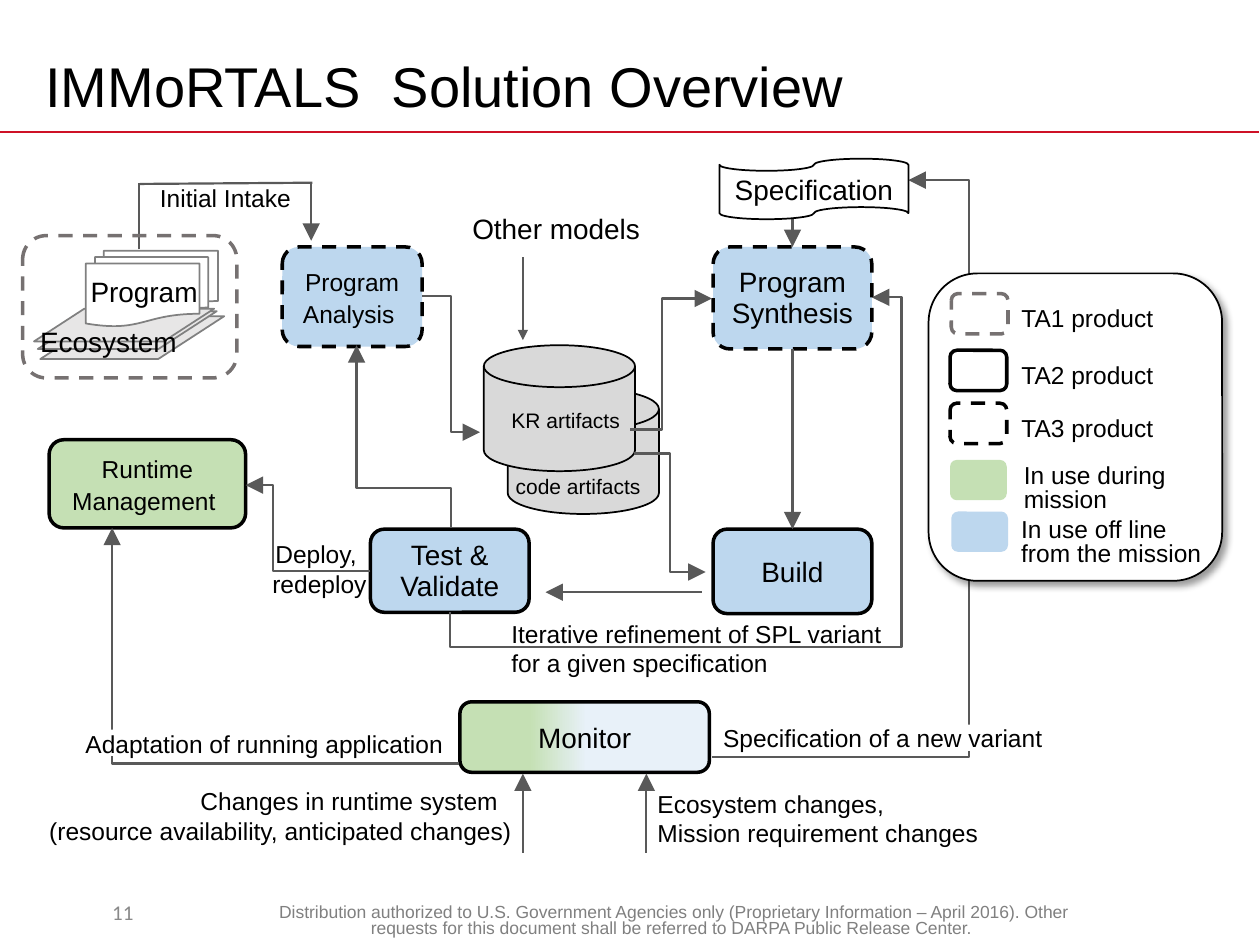
"""Build the IMMoRTALS solution overview slide."""
from lxml import etree
from pptx import Presentation
from pptx import util as u
from pptx.dml.color import RGBColor
from pptx.enum import dml, shapes, text
from pptx.oxml import ns

BLACK = RGBColor(0x00, 0x00, 0x00)
WHITE = RGBColor(0xFF, 0xFF, 0xFF)
RED = RGBColor(0xCE, 0x11, 0x26)
GREEN = RGBColor(0xC5, 0xE0, 0xB4)
BLUE = RGBColor(0xBD, 0xD7, 0xEE)
PALE_BLUE = RGBColor(0xE8, 0xF1, 0xF9)
SILVER = RGBColor(0xD9, 0xD9, 0xD9)
PAPER = RGBColor(0xE7, 0xE6, 0xE6)
GRAY = RGBColor(0x80, 0x80, 0x80)
NUMBER_GRAY = RGBColor(0x89, 0x89, 0x89)
TA1_GRAY = RGBColor(0x76, 0x71, 0x71)
ARROW_GRAY = RGBColor(0x59, 0x59, 0x59)

KIND = shapes.MSO_SHAPE
LEFT, CENTER, RIGHT = text.PP_ALIGN.LEFT, text.PP_ALIGN.CENTER, text.PP_ALIGN.RIGHT
TOP, MIDDLE = text.MSO_ANCHOR.TOP, text.MSO_ANCHOR.MIDDLE


def add_xml(parent, tag, **attributes):
    return etree.SubElement(parent, ns.qn(tag), attributes)


class Diagram:
    """Holds the text style and the slide being drawn."""

    def __init__(self, slide, font="Arial", color=BLACK):
        self.slide, self.font, self.color = slide, font, color

    def set_words(self, frame, words, size, align=LEFT, anchor=TOP, spacing=None,
                  font=None, color=None):
        frame.word_wrap = True
        frame.auto_size = text.MSO_AUTO_SIZE.NONE
        frame.vertical_anchor = anchor
        for index, line in enumerate(words.split("\n")):
            paragraph = frame.add_paragraph() if index else frame.paragraphs[0]
            paragraph.alignment = align
            if spacing:
                paragraph.line_spacing = spacing
            run = paragraph.add_run()
            run.text = line
            run.font.size = u.Pt(size)
            run.font.name = font or self.font
            run.font.color.rgb = color or self.color

    def title(self, at, words, size):
        heading = self.slide.shapes.title
        heading.left, heading.top, heading.width, heading.height = map(u.Inches, at)
        self.set_words(heading.text_frame, words, size, anchor=MIDDLE)

    def label(self, at, words, size=14, **style):
        caption = self.slide.shapes.add_textbox(*map(u.Inches, at))
        self.set_words(caption.text_frame, words, size, **style)

    def shape(self, at, kind=KIND.ROUNDED_RECTANGLE, fill=None, line=None, width=1,
              dashed=False, adjust=None):
        part = self.slide.shapes.add_shape(kind, *map(u.Inches, at))
        part.shadow.inherit = False
        if fill is None:
            part.fill.background()
        else:
            part.fill.solid()
            part.fill.fore_color.rgb = fill
        if line is None:
            part.line.fill.background()
        else:
            part.line.color.rgb = line
            part.line.width = u.Pt(width)
        if dashed:
            part.line.dash_style = dml.MSO_LINE.DASH
        if adjust is not None:
            part.adjustments[0] = adjust
        return part

    def step(self, at, words, size=16, fill=BLUE, dashed=False, spacing=u.Pt(18)):
        box = self.shape(at, fill=fill, line=BLACK, width=2, dashed=dashed)
        self.set_words(box.text_frame, words, size, CENTER, MIDDLE, spacing)
        return box

    def line(self, start, end, color=ARROW_GRAY, width=1.25, arrow=None,
             bends=None, upright=False):
        """Draw a line; bends are elbow ratios, upright leaves the start vertically."""
        if upright:
            mid_x, mid_y = ((a + b) / 2 for a, b in zip(start, end))
            start, end = ((mid_x - y + mid_y, mid_y + x - mid_x) for x, y in (start, end))
        kind = shapes.MSO_CONNECTOR.ELBOW if bends else shapes.MSO_CONNECTOR.STRAIGHT
        link = self.slide.shapes.add_connector(kind, *map(u.Inches, (*start, *end)))
        link.line.color.rgb = color
        link.line.width = u.Pt(width)
        properties = link._element.spPr
        if upright:
            properties.find(ns.qn("a:xfrm")).set("rot", "16200000")
        if bends:
            geometry = properties.find(ns.qn("a:prstGeom"))
            geometry.set("prst", f"bentConnector{len(bends) + 2}")
            guides = geometry.find(ns.qn("a:avLst"))
            for index, ratio in enumerate(bends, 1):
                add_xml(guides, "a:gd", name=f"adj{index}", fmla=f"val {round(ratio * 100000)}")
        if arrow:
            add_xml(properties.find(ns.qn("a:ln")), "a:tailEnd", type="triangle", w=arrow, len=arrow)
        add_xml(properties, "a:effectLst")

    def arrow(self, start, end, *bends, size="lg", upright=False):
        self.line(start, end, arrow=size, bends=bends, upright=upright)


def draw_frame(diagram):
    diagram.line((0, 1.05), (9.99, 1.05), RED, 1)
    diagram.label((2.11, 7.13, 6.47, 0.31),
                  "Distribution authorized to U.S. Government Agencies only (Proprietary "
                  "Information – April 2016). Other requests for this document shall be "
                  "referred to DARPA Public Release Center. ",
                  10, align=CENTER, spacing=0.8, color=GRAY)
    diagram.title((0.26, 0.3, 9, 0.75), "IMMoRTALS  Solution Overview", 32)
    diagram.label((0.28, 7.04, 1.39, 0.4), "11", 12, align=CENTER, anchor=MIDDLE,
                  font="Calibri", color=NUMBER_GRAY)


def draw_steps(diagram):
    diagram.shape((4.03, 3.08, 1.2, 1), KIND.FLOWCHART_MAGNETIC_DISK, SILVER, BLACK)
    for sheet in ((0.32, 2.51, 1.46, 0.34), (0.3, 2.47, 1.42, 0.3), (0.27, 2.45, 1.43, 0.26)):
        diagram.shape(sheet, KIND.PARALLELOGRAM, PAPER, GRAY, adjust=1.54)
    diagram.shape((0.68, 1.99, 1.05, 0.6), KIND.FLOWCHART_MULTIDOCUMENT, WHITE, GRAY)
    diagram.label((0.62, 2.13, 1.08, 0.37), "Program", 16)
    diagram.label((0.22, 2.53, 1.3, 0.37), "Ecosystem", 16)
    diagram.shape((3.84, 2.74, 1.2, 1), KIND.FLOWCHART_MAGNETIC_DISK, SILVER, BLACK)
    diagram.step((2.24, 1.96, 1.11, 0.79), "Program Analysis ", 14, dashed=True)
    diagram.step((5.66, 1.96, 1.26, 0.81), "Program Synthesis", dashed=True)
    diagram.step((5.66, 4.2, 1.26, 0.67), "Build", spacing=None)
    diagram.step((2.94, 4.2, 1.26, 0.66), "Test & Validate")
    diagram.step((0.39, 3.49, 1.56, 0.7), "Runtime Management ", 14, GREEN)
    monitor = diagram.step((3.65, 5.57, 1.98, 0.56), "Monitor", spacing=None)
    monitor.fill.gradient()
    monitor.fill.gradient_angle = 0
    for stop, position, color in zip(monitor.fill.gradient_stops, (0.28, 0.51), (GREEN, PALE_BLUE)):
        stop.position, stop.color.rgb = position, color


def draw_flows(diagram):
    diagram.arrow((3.35, 2.35), (3.81, 3.43), 0.5)
    diagram.arrow((5, 3.41), (5.65, 2.37), 0.39)
    diagram.arrow((6.29, 2.77), (6.29, 4.2))
    diagram.arrow((5.57, 4.7), (4.33, 4.7))
    diagram.arrow((2.94, 4.53), (1.95, 3.85), 0.78)
    diagram.arrow((3.64, 6.06), (0.89, 4.19), 1)
    diagram.arrow((5.65, 6.01), (7.21, 1.43), 1.31)
    diagram.arrow((6.29, 1.64), (6.29, 1.96))
    diagram.arrow((3.57, 4.86), (6.92, 2.36), -0.11, 1.07, upright=True)
    diagram.arrow((3.58, 4.19), (2.83, 2.74), 0.22, upright=True)
    diagram.arrow((5.03, 3.6), (5.6, 4.54), 0.5)
    diagram.arrow((4.15, 2.04), (4.15, 2.7), size="med")
    for change_x in (4.15, 5.13):
        diagram.arrow((change_x, 6.77), (change_x, 6.14))
    diagram.line((1.1, 1.98), (1.1, 1.45))
    diagram.line((2.48, 1.45), (1.11, 1.46))
    diagram.arrow((2.47, 1.46), (2.47, 1.91))


def draw_labels(diagram):
    for gap in ((7.6, 5.75, 0.19, 0.21), (0.78, 5.79, 0.19, 0.21)):
        diagram.shape(gap, KIND.RECTANGLE, WHITE)
    diagram.label((1.11, 1.4, 1.36, 0.33), "Initial Intake", align=CENTER)
    diagram.label((3.96, 4.86, 3.18, 0.58),
                  "Iterative refinement of SPL variant for a given specification")
    diagram.label((5.12, 6.21, 3.06, 0.58), "Ecosystem changes,\nMission requirement changes")
    diagram.label((0.19, 6.19, 3.97, 0.58),
                  "Changes in runtime system  \n(resource availability, anticipated changes)",
                  align=RIGHT)
    diagram.label((2.04, 4.23, 0.99, 0.58), "Deploy, \nredeploy", align=CENTER)
    diagram.label((5.64, 5.69, 2.89, 0.33), "Specification of a new variant")
    diagram.label((0.58, 5.74, 3.16, 0.33), "Adaptation of running application")
    diagram.label((3.65, 1.63, 1.59, 0.37), "Other models", 16)
    diagram.label((3.93, 3.22, 1.12, 0.26), "KR artifacts", 12, align=CENTER, spacing=0.8)
    diagram.label((3.87, 3.75, 1.39, 0.26), " code artifacts", 12, align=CENTER, spacing=0.8)
    specification = diagram.shape((5.71, 1.26, 1.5, 0.48), KIND.FLOWCHART_PUNCHED_TAPE, WHITE, BLACK)
    diagram.set_words(specification.text_frame, "Specification", 16, CENTER, MIDDLE)
    diagram.shape((0.18, 1.87, 1.7, 1.13), line=TA1_GRAY, width=2, dashed=True)


def draw_legend(diagram):
    panel = diagram.shape((7.37, 2.17, 2.33, 2.44), fill=WHITE, line=BLACK)
    effects = panel._element.spPr.find(ns.qn("a:effectLst"))
    shadow = add_xml(effects, "a:outerShdw", blurRad=str(u.Pt(4)), dist=str(u.Pt(3)),
                     dir="2700000", algn="tl", rotWithShape="0")
    add_xml(add_xml(shadow, "a:srgbClr", val=str(BLACK)), "a:alpha", val="40000")
    entries = (
        (7.55, 2.33, None, TA1_GRAY, True, (7.99, 2.34, 1.33, 0.37), "TA1 product", None),
        (7.54, 2.78, None, BLACK, False, (7.99, 2.79, 1.46, 0.37), "TA2 product", None),
        (7.54, 3.2, None, BLACK, True, (7.99, 3.21, 1.33, 0.37), "TA3 product", None),
        (7.54, 3.65, GREEN, None, False, (8, 3.61, 1.71, 0.55), "In use during mission", u.Pt(14)),
        (7.55, 4.06, BLUE, None, False, (7.98, 4.04, 1.8, 0.55),
         "In use off line from the mission", u.Pt(14)),
    )
    for left, top, fill, line, dashed, at, meaning, spacing in entries:
        diagram.shape((left, top, 0.45, 0.32), fill=fill, line=line, width=2, dashed=dashed)
        diagram.set_words(diagram.shape(at).text_frame, meaning, 14, spacing=spacing)


def main():
    deck = Presentation()
    deck.slide_width, deck.slide_height = u.Inches(10), u.Inches(7.5)
    diagram = Diagram(deck.slides.add_slide(deck.slide_layouts[5]))
    for draw in (draw_frame, draw_steps, draw_flows, draw_labels, draw_legend):
        draw(diagram)
    deck.save("out.pptx")


if __name__ == "__main__":
    main()
